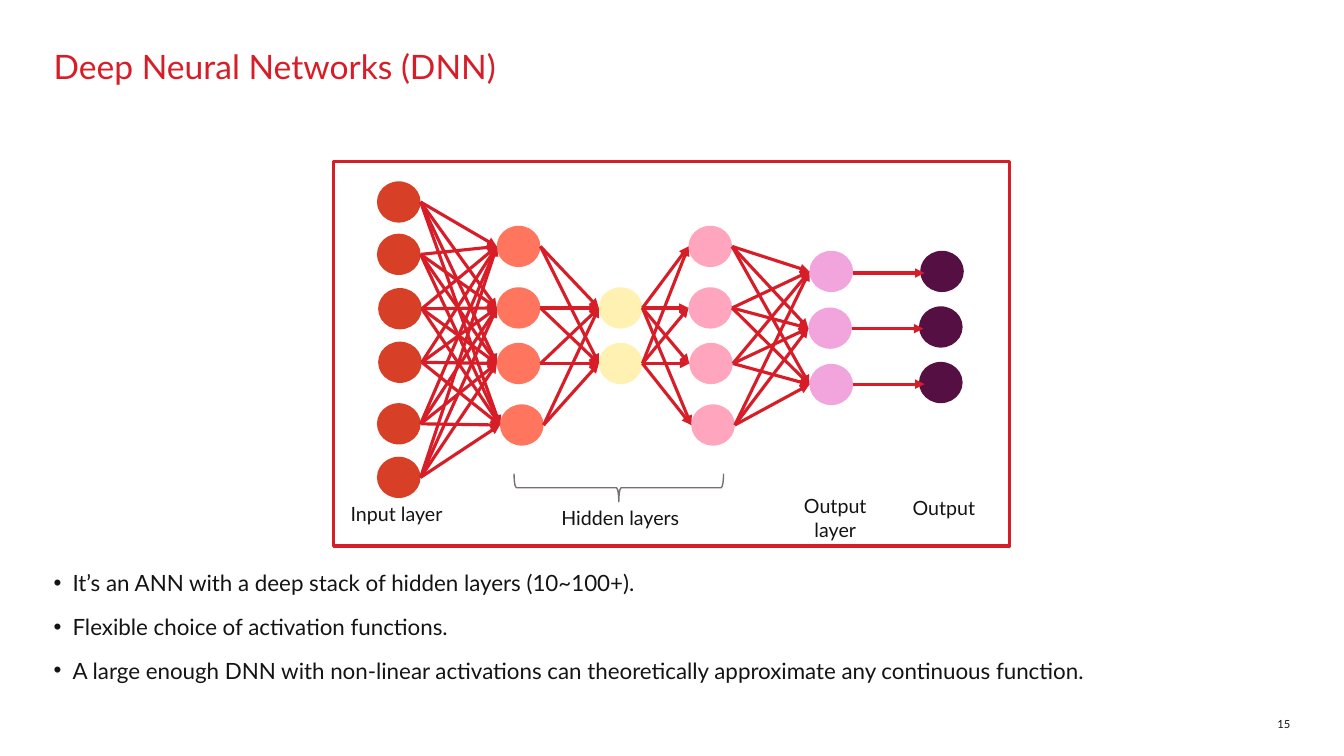
from itertools import product

from lxml.etree import SubElement
from pptx import Presentation
from pptx.dml.color import RGBColor
from pptx.enum.shapes import MSO_CONNECTOR, MSO_SHAPE
from pptx.enum.text import MSO_ANCHOR, MSO_AUTO_SIZE, PP_ALIGN
from pptx.oxml.ns import qn
from pptx.util import Cm, Pt

COLORS = {
    "red": "D71E28", "ink": "141414", "brace": "787070",
    "input": "D73F26", "encoder": "FF755E", "bottleneck": "FFF1B2",
    "decoder": "FFA6BE", "output_layer": "F2A5DC", "output": "550F43",
}
NODE_WIDTH, NODE_HEIGHT = 1.1, 1.04
FONT = "Lato"

# Left and top of each node, in centimetres
LAYERS = {
    "input": [(9.5, 4.57), (9.5, 5.89), (9.53, 7.26),
              (9.53, 8.61), (9.5, 10.16), (9.5, 11.51)],
    "encoder": [(12.52, 5.69), (12.52, 7.24), (12.52, 8.64), (12.6, 10.19)],
    "bottleneck": [(15.09, 7.24), (15.09, 8.64)],
    "decoder": [(17.35, 5.69), (17.35, 7.24), (17.37, 8.64), (17.42, 10.19)],
    "output_layer": [(20.4, 6.32), (20.37, 7.75), (20.4, 9.17)],
    "output": [(23.19, 6.32), (23.16, 7.72), (23.16, 9.12)],
}
LABELS = [
    ("Input layer", 8.61, 12.65, 2.77),
    ("Hidden layers", 13.97, 12.75, 3.33),
    ("Output layer", 19.74, 12.45, 2.62),
    ("Output", 22.48, 12.5, 2.62),
]
POINTS = [
    "It’s an ANN with a deep stack of hidden layers (10~100+).",
    "Flexible choice of activation functions.",
    "A large enough DNN with non-linear activations can theoretically "
    "approximate any continuous function.",
]


def rgb(name):
    return RGBColor.from_string(COLORS[name])


def write(frame, text, size=14, color="ink", align=PP_ALIGN.LEFT,
          anchor=MSO_ANCHOR.TOP, spacing=1.0, gap=0, bullet=None):
    """Fill a text frame, one paragraph for each line of text."""
    frame.word_wrap = True
    frame.auto_size = MSO_AUTO_SIZE.NONE
    frame.vertical_anchor = anchor
    frame.margin_left = frame.margin_right = 0
    frame.margin_top = frame.margin_bottom = 0
    for index, line in enumerate(text.split("\n")):
        paragraph = frame.add_paragraph() if index else frame.paragraphs[0]
        paragraph.text = line
        if bullet:
            props = paragraph._p.get_or_add_pPr()
            props.set("marL", str(Cm(0.48)))
            props.set("indent", str(-Cm(0.48)))
            SubElement(props, qn("a:buFont"), typeface="Arial")
            SubElement(props, qn("a:buChar"), char=bullet)
        paragraph.alignment = align
        paragraph.line_spacing = spacing
        paragraph.space_before = Pt(gap if index else 0)
        paragraph.font.name = FONT
        paragraph.font.size = Pt(size)
        paragraph.font.color.rgb = rgb(color)


class NetworkSlide:
    """Holds the current slide and its drawing style."""

    def __init__(self, slide):
        self.slide = slide
        self.shapes = slide.shapes

    def title(self, text, left, top, width, height):
        title = self.shapes.title
        title.left, title.top = Cm(left), Cm(top)
        title.width, title.height = Cm(width), Cm(height)
        write(title.text_frame, text, size=24, color="red", spacing=0.9)

    def text(self, text, left, top, width, height, **style):
        box = self.shapes.add_textbox(Cm(left), Cm(top), Cm(width), Cm(height))
        write(box.text_frame, text, **style)

    def shape(self, kind, left, top, width, height,
              fill=None, line=None, weight=1, rotation=0):
        shape = self.shapes.add_shape(kind, Cm(left), Cm(top), Cm(width), Cm(height))
        shape.shadow.inherit = False
        shape.rotation = rotation
        if fill:
            shape.fill.solid()
            shape.fill.fore_color.rgb = rgb(fill)
        else:
            shape.fill.background()
        if line:
            shape.line.color.rgb = rgb(line)
            shape.line.width = Pt(weight)
        else:
            shape.line.fill.background()

    def arrow(self, x1, y1, x2, y2):
        arrow = self.shapes.add_connector(
            MSO_CONNECTOR.STRAIGHT, Cm(x1), Cm(y1), Cm(x2), Cm(y2))
        arrow.line.color.rgb = rgb("red")
        arrow.line.width = Pt(2.25)
        SubElement(arrow.line._get_or_add_ln(), qn("a:tailEnd"), type="triangle")
        SubElement(arrow._element.spPr, qn("a:effectLst"))


def main():
    prs = Presentation()
    prs.slide_width, prs.slide_height = Cm(33.87), Cm(19.05)
    page = NetworkSlide(prs.slides.add_slide(prs.slide_layouts[5]))
    page.title("Deep Neural Networks (DNN)", 1.35, 1.27, 31.17, 2.79)

    # Nodes of every layer
    for layer, nodes in LAYERS.items():
        for left, top in nodes:
            page.shape(MSO_SHAPE.OVAL, left, top, NODE_WIDTH, NODE_HEIGHT, fill=layer)

    # Fully connected layers, from input to output layer
    middle = NODE_HEIGHT / 2
    *dense, outputs = LAYERS.values()
    for sources, targets in zip(dense, dense[1:]):
        for (x1, y1), (x2, y2) in product(sources, targets):
            page.arrow(x1 + NODE_WIDTH, y1 + middle, x2, y2 + middle)

    # One level arrow into each output
    for (x1, _), (_, y2) in zip(dense[-1], outputs):
        start, level = x1 + NODE_WIDTH, y2 + middle + 0.04
        page.arrow(start, level, start + 1.8, level)

    # Brace, labels and frame
    page.shape(MSO_SHAPE.LEFT_BRACE, 15.24, 9.65, 0.71, 5.28,
               line="brace", rotation=270)
    for label, left, top, width in LABELS:
        page.text(label, left, top, width, 0.62, align=PP_ALIGN.CENTER)
    page.shape(MSO_SHAPE.RECTANGLE, 8.41, 4.06, 17.04, 9.7, line="red", weight=2.25)

    # Key points and slide number
    page.text("\n".join(POINTS), 1.35, 14.35, 31.17, 2.8,
              size=16, gap=12, bullet="•")
    page.text("15", 31.17, 17.78, 1.35, 0.64, size=8,
              align=PP_ALIGN.RIGHT, anchor=MSO_ANCHOR.BOTTOM)

    prs.save("out.pptx")


if __name__ == "__main__":
    main()
